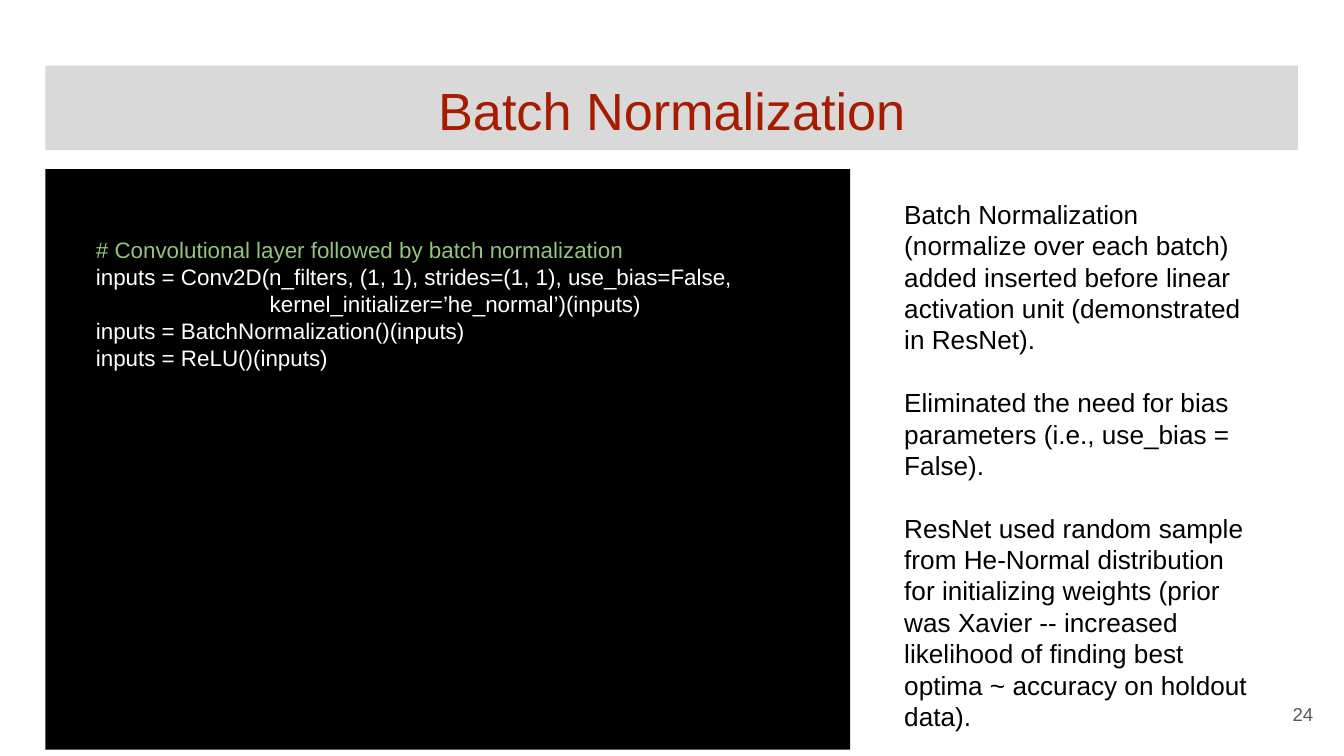
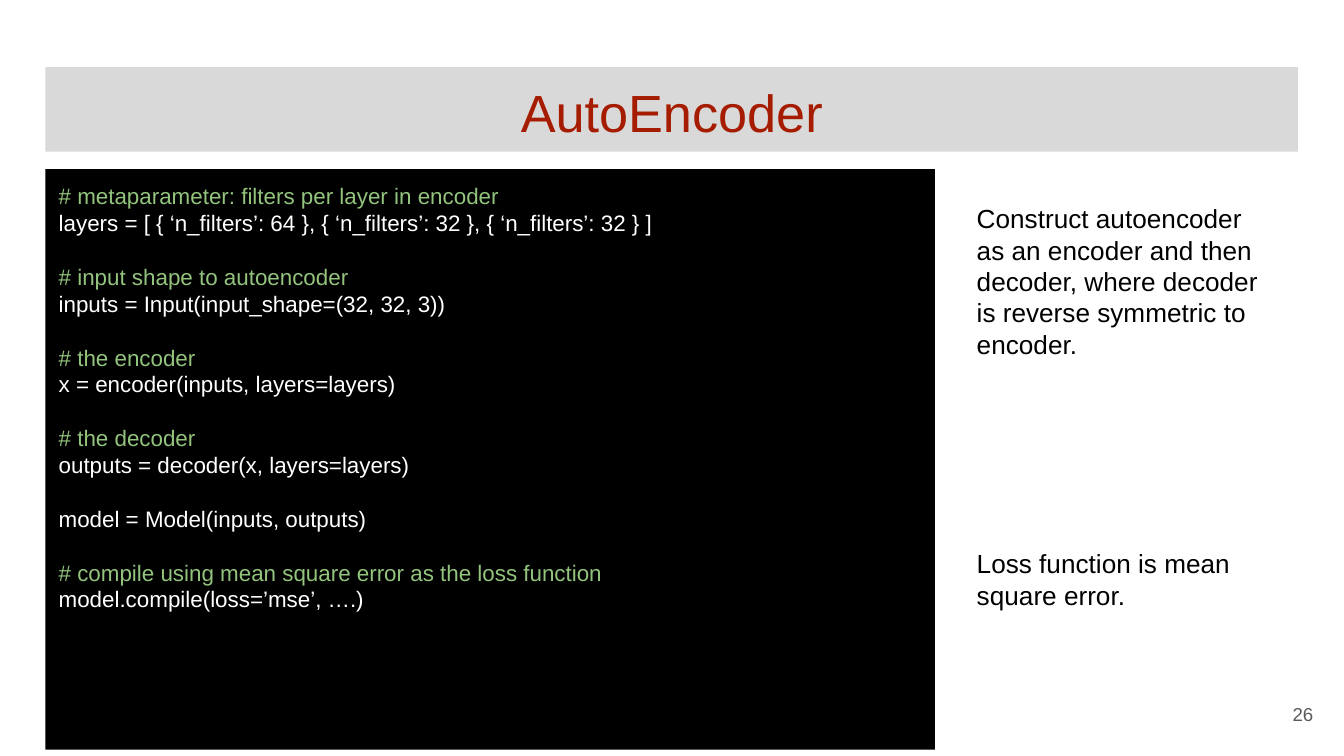
from pptx import Presentation
from pptx.dml.color import RGBColor
from pptx.enum.shapes import MSO_SHAPE
from pptx.enum.text import MSO_ANCHOR, PP_ALIGN
from pptx.util import Cm, Pt

COLORS = {
    "band": "D9D9D9",
    "title": "A61C00",
    "panel": "000000",
    "code": "FFFFFF",
    "comment": "93C47D",
    "note": "000000",
    "number": "595959",
}
FONT = "Arial"
LEADING = 1.2
INSET = Cm(0.25)
MARGIN = 0.86
PANEL_TOP, PANEL_HEIGHT = 3.2, 10.97

BATCH_CODE = """

      # Convolutional layer followed by batch normalization
      inputs = Conv2D(n_filters, (1, 1), strides=(1, 1), use_bias=False,
                                  kernel_initializer=’he_normal’)(inputs)
      inputs = BatchNormalization()(inputs)
      inputs = ReLU()(inputs)"""

BATCH_NOTES = """Batch Normalization (normalize over each batch) added inserted before linear activation unit (demonstrated in ResNet).

Eliminated the need for bias parameters (i.e., use_bias = False).

ResNet used random sample from He-Normal distribution for initializing weights (prior was Xavier -- increased likelihood of finding best optima ~ accuracy on holdout data)."""

AUTOENCODER_CODE = """# metaparameter: filters per layer in encoder
layers = [ { ‘n_filters’: 64 }, { ‘n_filters’: 32 }, { ‘n_filters’: 32 } ]

# input shape to autoencoder
inputs = Input(input_shape=(32, 32, 3))

# the encoder
x = encoder(inputs, layers=layers)

# the decoder
outputs = decoder(x, layers=layers)

model = Model(inputs, outputs)

# compile using mean square error as the loss function
model.compile(loss=’mse’, ….)"""

AUTOENCODER_NOTES = (
    "Construct autoencoder as an encoder and then decoder, "
    "where decoder is reverse symmetric to encoder."
    + "\n" * 7
    + "Loss function is mean square error."
)


def color(name):
    """Return the palette colour of that name."""
    return RGBColor.from_string(COLORS[name])


def write(shape, text, size, ink, align=PP_ALIGN.LEFT, anchor=MSO_ANCHOR.TOP):
    """Fill a shape with lines of text, turning empty lines into spacing."""
    frame = shape.text_frame
    frame.word_wrap = True
    frame.vertical_anchor = anchor
    frame.margin_left = frame.margin_right = INSET
    frame.margin_top = frame.margin_bottom = INSET
    pitch = Pt(size * LEADING)
    gap, started = 0, False
    for line in text.split("\n"):
        if not line:
            gap += pitch
            continue
        if started:
            paragraph = frame.add_paragraph()
            paragraph.space_before = gap
        else:
            paragraph = frame.paragraphs[0]
            frame.margin_top = INSET + gap
        gap, started = 0, True
        paragraph.text = line
        paragraph.alignment = align
        paragraph.line_spacing = pitch
        font = paragraph.runs[0].font
        font.name, font.size = FONT, Pt(size)
        font.color.rgb = color("comment" if line.lstrip().startswith("#") else ink)


def block(slide, box, fill):
    """Add a plain filled rectangle."""
    shape = slide.shapes.add_shape(MSO_SHAPE.RECTANGLE, *map(Cm, box))
    shape.shadow.inherit = False
    shape.fill.solid()
    shape.fill.fore_color.rgb = color(fill)
    shape.line.fill.background()
    return shape


def title_band(slide, box, title):
    """Place the title on its grey band."""
    write(block(slide, box, "band"), title, 28, "title", PP_ALIGN.CENTER)


def code_panel(slide, box, code):
    """Place a code listing on its black panel."""
    write(block(slide, box, "panel"), code, 12, "code")


def side_notes(slide, box, notes):
    """Place the remarks beside the code."""
    write(slide.shapes.add_textbox(*map(Cm, box)), notes, 14, "note")


def page_number(slide, box, number):
    """Place the page number in the corner."""
    corner = slide.shapes.add_textbox(*map(Cm, box))
    write(corner, str(number), 10, "number", PP_ALIGN.RIGHT, MSO_ANCHOR.MIDDLE)


def code_slide(deck, title, band_top, code, panel_width, notes, notes_box, number):
    """Add a slide with a title, a code panel and remarks."""
    slide = deck.slides.add_slide(deck.slide_layouts[6])
    title_band(slide, (MARGIN, band_top, 23.67, 1.6), title)
    code_panel(slide, (MARGIN, PANEL_TOP, panel_width, PANEL_HEIGHT), code)
    side_notes(slide, notes_box, notes)
    page_number(slide, (23.55, 12.95, 1.52, 1.09), number)


def main():
    """Build and save the deck."""
    deck = Presentation()
    deck.slide_width, deck.slide_height = Cm(25.4), Cm(14.29)
    code_slide(deck, "Batch Normalization", 1.24, BATCH_CODE, 15.21,
               BATCH_NOTES, (16.84, 3.5, 7.21, 10.34), 24)
    code_slide(deck, "AutoEncoder", 1.27, AUTOENCODER_CODE, 16.81,
               AUTOENCODER_NOTES, (18.21, 3.58, 6.12, 10.31), 26)
    deck.save("out.pptx")


if __name__ == "__main__":
    main()
